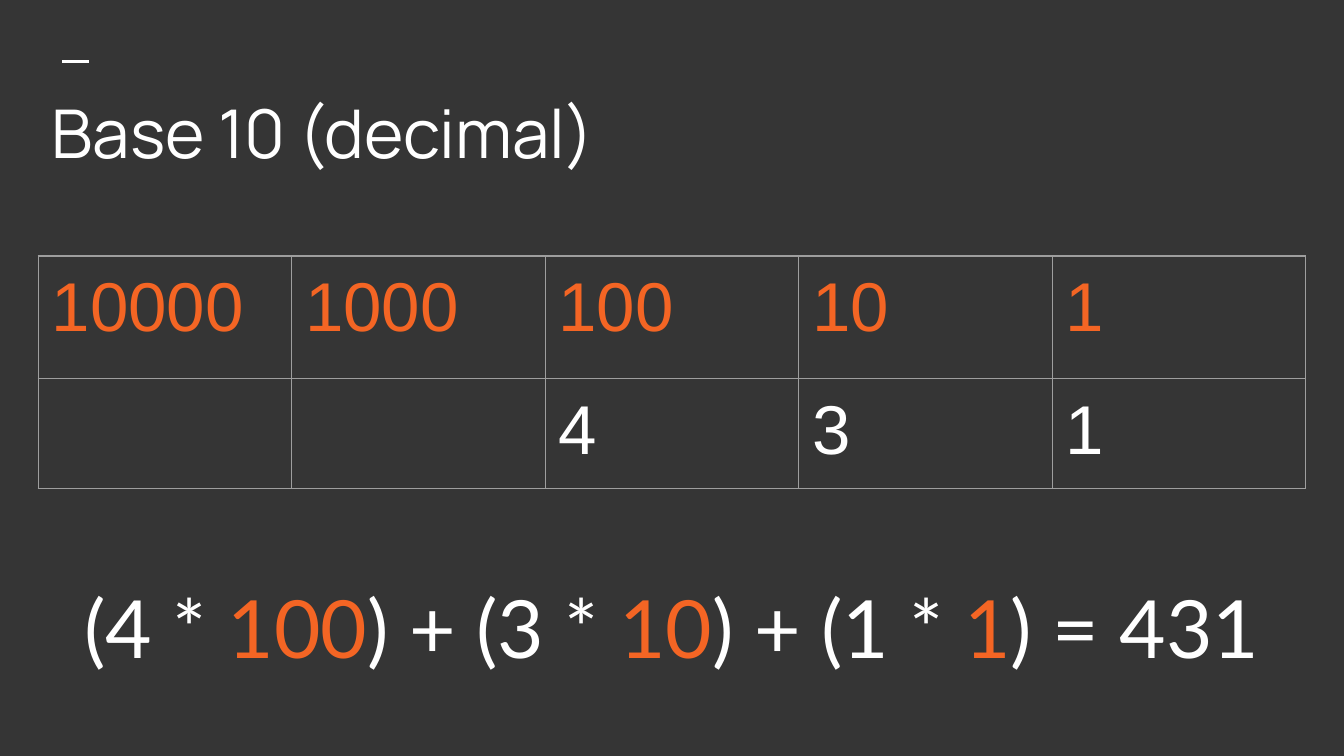
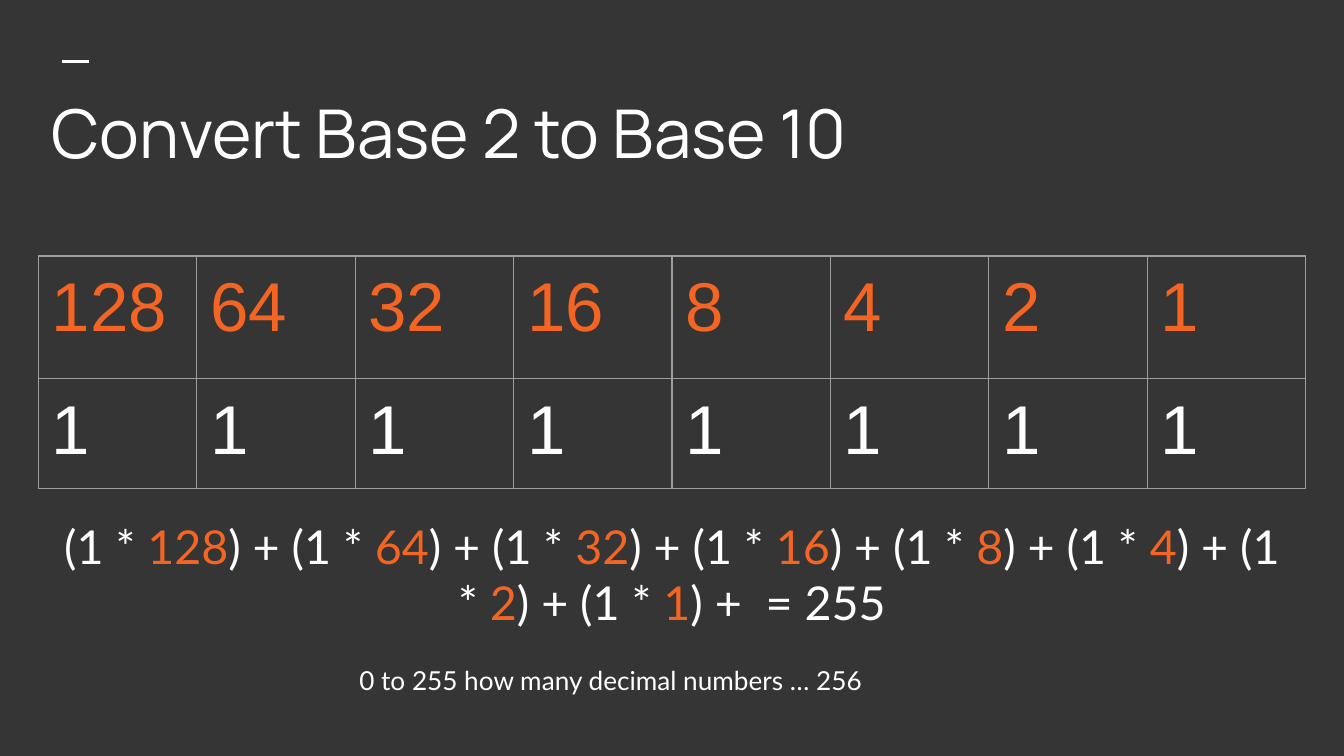
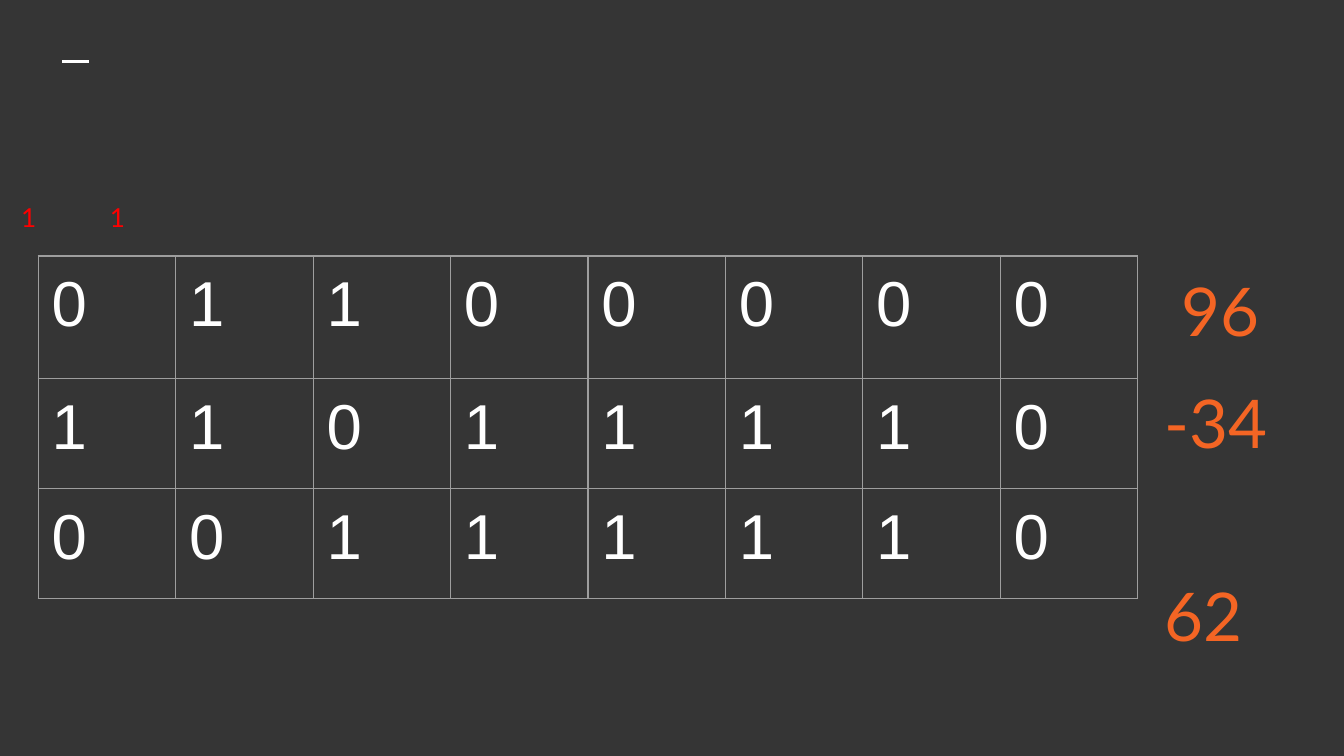
from lxml import etree
from pptx import Presentation
from pptx.dml.color import RGBColor
from pptx.enum.shapes import MSO_CONNECTOR
from pptx.enum.text import MSO_ANCHOR, MSO_AUTO_SIZE, PP_ALIGN
from pptx.oxml.ns import qn
from pptx.util import Pt

PX = 4572
SLIDE_SIZE = (2000, 1125)
CHARCOAL = RGBColor(0x35, 0x35, 0x35)
WHITE = RGBColor(0xFF, 0xFF, 0xFF)
ORANGE = RGBColor(0xF4, 0x65, 0x24)
RED = RGBColor(0xFF, 0x00, 0x00)
GRAY = RGBColor(0x9E, 0x9E, 0x9E)

STRAIGHT = MSO_CONNECTOR.STRAIGHT
MIDDLE = MSO_ANCHOR.MIDDLE
TOP = MSO_ANCHOR.TOP
NO_FIT = MSO_AUTO_SIZE.NONE
GROW = MSO_AUTO_SIZE.SHAPE_TO_FIT_TEXT
LEFT = PP_ALIGN.LEFT
CENTER = PP_ALIGN.CENTER

TITLE_ONLY, BLANK = 5, 6
INSET = 20
LEFT_EDGE, CONTENT_WIDTH = 57, 1886
TITLE_BOX = (LEFT_EDGE, 118, CONTENT_WIDTH, 156)
DASH_BOX = (93, 91, 40, 0)
TABLE_TOP = 381
FIRST_ROW, NEXT_ROW = 182, 164
MARGINS = {f"margin_{side}": INSET * PX for side in ("left", "top", "right", "bottom")}


def scaled(box):
    return [length * PX for length in box]


def set_attributes(target, values):
    for name, value in values.items():
        setattr(target, name, value)


def write_runs(paragraph, runs, font_name, size):
    for text, color in runs:
        run = paragraph.add_run()
        run.text = text
        set_attributes(run.font, {"name": font_name, "size": Pt(size)})
        run.font.color.rgb = color


def add_text(slide, box, runs, size, alignment=LEFT):
    frame = slide.shapes.add_textbox(*scaled(box)).text_frame
    set_attributes(frame, {**MARGINS, "word_wrap": True, "auto_size": GROW})
    paragraph = frame.paragraphs[0]
    paragraph.alignment = alignment
    write_runs(paragraph, runs, "Lato", size)


def add_dash(slide, box):
    left, top, width, height = scaled(box)
    dash = slide.shapes.add_connector(STRAIGHT, left, top, left + width, top + height)
    dash.line.color.rgb = WHITE
    dash.line.width = Pt(1.5)
    etree.SubElement(dash._element.spPr, qn("a:effectLst"))


def add_title(slide, text, box):
    title = slide.shapes.title
    set_attributes(title, dict(zip(("left", "top", "width", "height"), scaled(box))))
    frame = title.text_frame
    set_attributes(frame, {**MARGINS, "word_wrap": True, "auto_size": NO_FIT,
                           "vertical_anchor": MIDDLE})
    paragraph = frame.paragraphs[0]
    set_attributes(paragraph, {"alignment": LEFT, "space_after": Pt(10)})
    write_runs(paragraph, [(text, WHITE)], "Manrope", 36)


def add_borders(cell):
    properties = cell._tc.get_or_add_tcPr()
    for tag in ("a:lnL", "a:lnR", "a:lnT", "a:lnB"):
        line = etree.SubElement(properties, qn(tag), w=str(Pt(0.75)))
        fill = etree.SubElement(line, qn("a:solidFill"))
        etree.SubElement(fill, qn("a:srgbClr"), val=str(GRAY))


def add_digit_table(slide, width, rows, row_colors, size):
    heights = [FIRST_ROW] + [NEXT_ROW] * (len(rows) - 1)
    column_count = len(rows[0])
    box = (LEFT_EDGE, TABLE_TOP, width, sum(heights))
    table = slide.shapes.add_table(len(rows), column_count, *scaled(box)).table
    set_attributes(table, {"first_row": False, "horz_banding": False})
    for column in table.columns:
        column.width = width * PX // column_count
    for row, height, values, color in zip(table.rows, heights, rows, row_colors):
        row.height = height * PX
        for cell, value in zip(row.cells, values):
            set_attributes(cell, {**MARGINS, "vertical_anchor": TOP})
            add_borders(cell)
            cell.fill.background()
            if value:
                write_runs(cell.text_frame.paragraphs[0], [(value, color)], "Arial", size)


def equation_runs(digits, weights, ending):
    runs = []
    opening = "("
    for digit, weight in zip(digits, weights):
        if digit:
            runs += [(f"{opening}{digit} * ", WHITE), (weight, ORANGE)]
            opening = ") + ("
    return runs + [(ending, WHITE)]


def add_slide(presentation, layout_index):
    slide = presentation.slides.add_slide(presentation.slide_layouts[layout_index])
    add_dash(slide, DASH_BOX)
    return slide


def add_base_slide(presentation, title, weights, digits, ending, equation_box, size):
    slide = add_slide(presentation, TITLE_ONLY)
    add_title(slide, title, TITLE_BOX)
    add_digit_table(slide, CONTENT_WIDTH, [weights, digits], [ORANGE, WHITE], 37)
    add_text(slide, equation_box, equation_runs(digits, weights, ending), size, CENTER)
    return slide


def add_sum_slide(presentation):
    slide = add_slide(presentation, BLANK)
    add_digit_table(slide, 1636, ["01100000", "11011110", "00111110"], [WHITE] * 3, 34)
    for text, left, top in (("96", 1738, 381), ("-34", 1714, 548), ("62", 1714, 835)):
        add_text(slide, (left, top, 200, 162), [(text, ORANGE)], 36)
    for left in (12, 144):
        add_text(slide, (left, 280, 100, 86), [("1", RED)], 14)


def main():
    presentation = Presentation()
    presentation.slide_width, presentation.slide_height = scaled(SLIDE_SIZE)
    background = presentation.slide_master.background.fill
    background.solid()
    background.fore_color.rgb = CHARCOAL

    add_base_slide(presentation, "Base 10 (decimal)",
                   [str(10 ** power) for power in range(4, -1, -1)],
                   ["", "", "4", "3", "1"], ") = 431",
                   (LEFT_EDGE, 840, CONTENT_WIDTH, 186), 43)
    binary_slide = add_base_slide(presentation, "Convert Base 2 to Base 10",
                                  [str(2 ** power) for power in range(7, -1, -1)],
                                  "1" * 8, ") +  = 255",
                                  (LEFT_EDGE, 751, CONTENT_WIDTH, 208), 25)
    add_text(binary_slide, (515, 969, 942, 88),
             [("0 to 255 how many decimal numbers … 256", WHITE)], 14)
    add_sum_slide(presentation)
    presentation.save("out.pptx")


if __name__ == "__main__":
    main()
